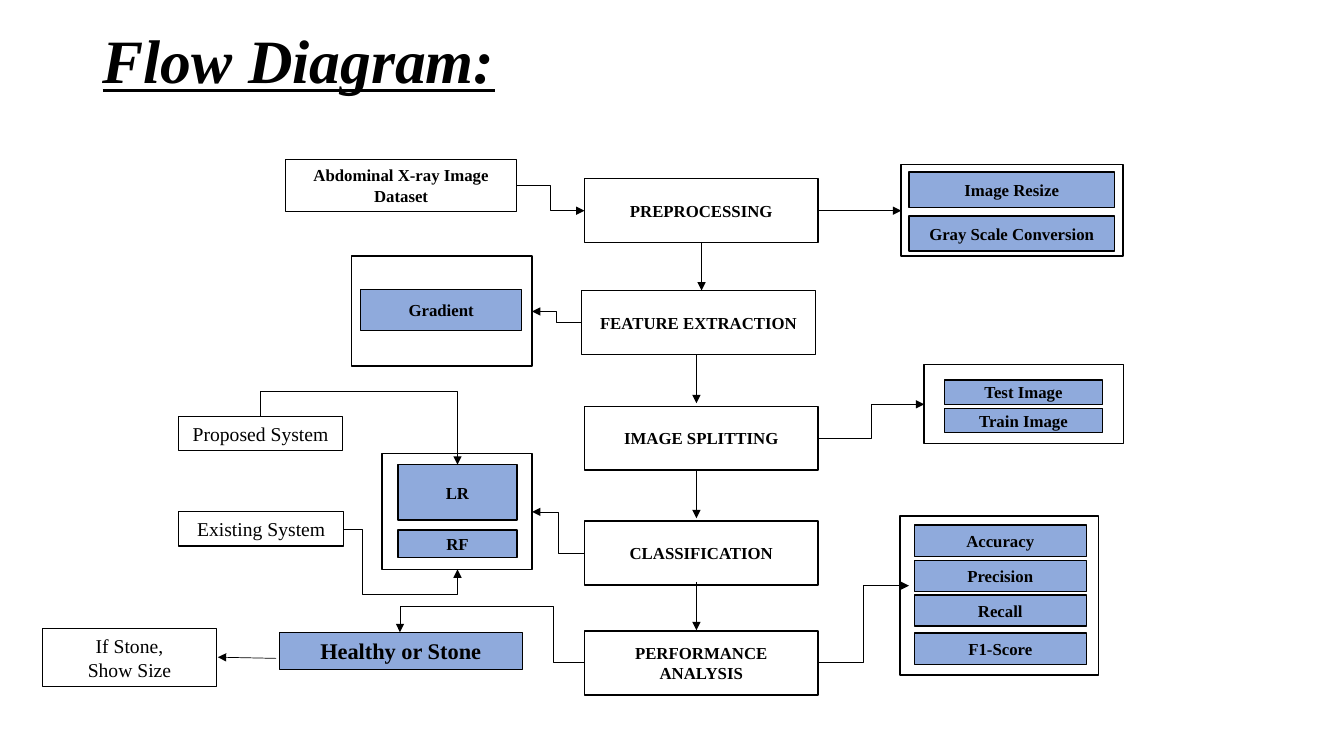
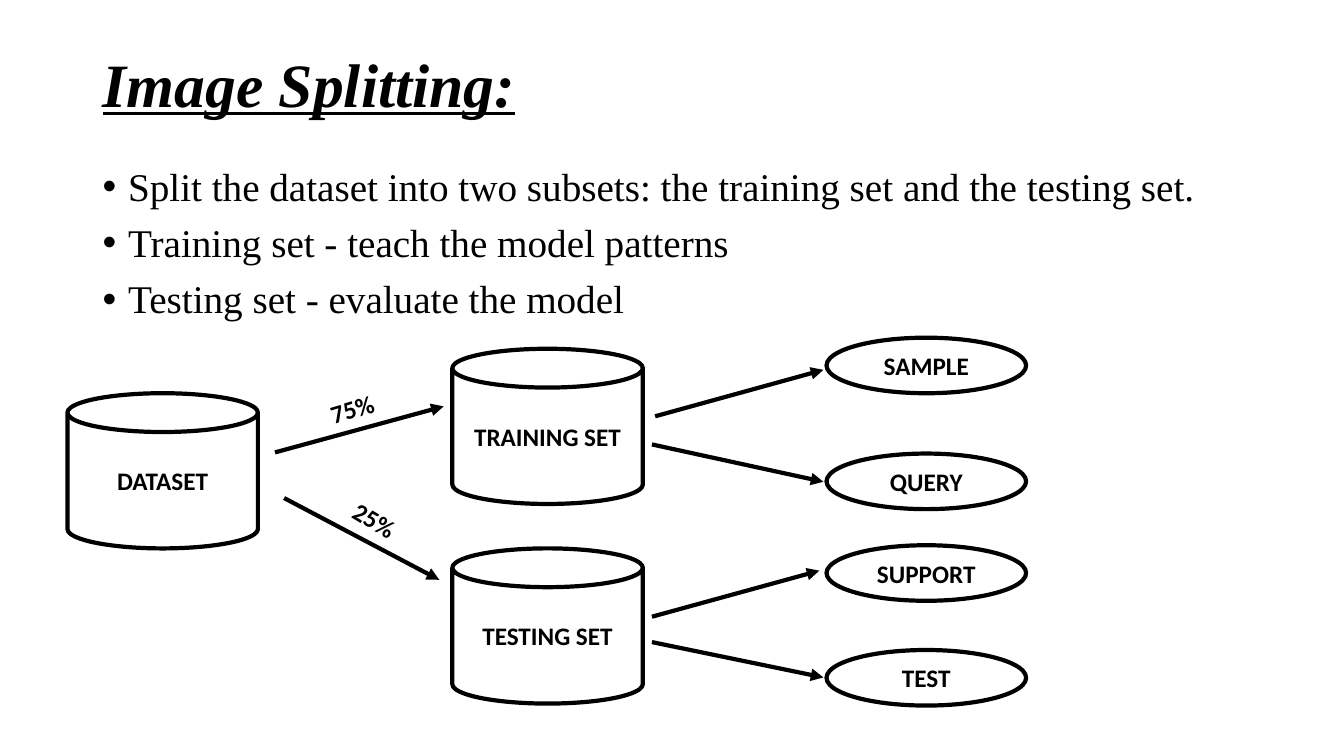
"""Build the flow diagram and image splitting slides."""
from dataclasses import dataclass

from lxml.etree import SubElement
from pptx import Presentation
from pptx.dml.color import RGBColor
from pptx.enum.shapes import MSO_CONNECTOR, MSO_SHAPE
from pptx.enum.text import MSO_ANCHOR, PP_ALIGN
from pptx.oxml.ns import qn
from pptx.util import Cm, Pt


@dataclass(frozen=True)
class Theme:
    ink: RGBColor = RGBColor(0, 0, 0)
    paper: RGBColor = RGBColor(255, 255, 255)
    accent: RGBColor = RGBColor(0x8F, 0xAA, 0xDC)
    serif: str = "Times New Roman"
    sans: str = "Calibri"
    title: Pt = Pt(44)
    body: Pt = Pt(28)
    label: Pt = Pt(18)
    result: Pt = Pt(16)
    note: Pt = Pt(14)
    step: Pt = Pt(12)
    thin: Pt = Pt(0.5)
    outline: Pt = Pt(1)
    thick: Pt = Pt(3)


theme = Theme()


def add_box(page, place, text, size, kind=MSO_SHAPE.RECTANGLE, fill=theme.paper,
            width=theme.outline, font=theme.serif, bold=True, align=PP_ALIGN.CENTER):
    lengths = [Cm(value) for value in place]
    if kind is None:
        box = page.shapes.add_textbox(*lengths)
    else:
        box = page.shapes.add_shape(kind, *lengths)
        box.shadow.inherit = False
        box.fill.solid()
        box.fill.fore_color.rgb = fill
        box.line.color.rgb = theme.ink
        box.line.width = width
    frame = box.text_frame
    frame.word_wrap = True
    frame.vertical_anchor = MSO_ANCHOR.MIDDLE
    frame.text = text
    for paragraph in frame.paragraphs:
        paragraph.alignment = align
        for span in paragraph.runs:
            span.font.name = font
            span.font.size = size
            span.font.bold = bold
            span.font.color.rgb = theme.ink
    return box


def add_arrow(page, points, width, kind=MSO_CONNECTOR.STRAIGHT):
    corners = [(Cm(x), Cm(y)) for x, y in points]
    if len(corners) == 2:
        arrow = page.shapes.add_connector(kind, *corners[0], *corners[1])
    else:
        builder = page.shapes.build_freeform(*corners[0])
        builder.add_line_segments(corners[1:], close=False)
        arrow = builder.convert_to_shape()
        arrow.fill.background()
    arrow.line.color.rgb = theme.ink
    arrow.line.width = width
    properties = arrow.element.spPr
    SubElement(properties.find(qn("a:ln")), qn("a:tailEnd"), type="triangle")
    SubElement(properties, qn("a:effectLst"))


deck = Presentation()
deck.slide_width, deck.slide_height = Cm(33.87), Cm(19.05)
pages = []
for heading, top in (("Flow Diagram:", 0.43), ("Image Splitting:", 1.02)):
    page = deck.slides.add_slide(deck.slide_layouts[6])
    title = add_box(page, (2.34, top, 29.21, 2.35), heading, theme.title,
                    kind=None, align=PP_ALIGN.LEFT)
    paragraph = title.text_frame.paragraphs[0]
    paragraph.line_spacing = 0.9
    paragraph.runs[0].font.italic = True
    paragraph.runs[0].font.underline = True
    pages.append(page)
flow, splitting = pages

add_box(flow, (7.19, 4.01, 5.84, 1.32), "Abdominal X-ray Image Dataset", theme.step,
        width=Pt(0.75))
steps = [
    ("PREPROCESSING", 14.73, 4.5),
    ("FEATURE EXTRACTION", 14.66, 7.32),
    ("IMAGE SPLITTING", 14.73, 10.24),
    ("CLASSIFICATION", 14.73, 13.13),
    ("PERFORMANCE ANALYSIS", 14.73, 15.9),
]
for text, left, top in steps:
    add_box(flow, (left, top, 5.89, 1.61), text, theme.step)

panels = [
    ((22.71, 4.14, 5.59, 2.31), 22.91, 5.18,
     [("Image Resize", 4.34, 0.89), ("Gray Scale Conversion", 5.44, 0.89)]),
    ((8.86, 6.45, 4.55, 2.77), 9.09, 4.06, [("Gradient", 7.29, 1.04)]),
    ((23.29, 9.19, 5.03, 1.98), 23.8, 3.99,
     [("Test Image", 9.58, 0.61), ("Train Image", 10.29, 0.61)]),
    ((9.63, 11.43, 3.78, 2.92), 10.03, 3, [("LR", 11.71, 1.4), ("RF", 13.36, 0.69)]),
    ((22.68, 13, 5, 4.01), 23.04, 4.34,
     [("Accuracy", 13.23, 0.79), ("Precision", 14.12, 0.79),
      ("Recall", 14.99, 0.79), ("F1-Score", 15.95, 0.79)]),
]
for place, left, width, items in panels:
    add_box(flow, place, "", theme.step)
    for text, top, height in items:
        add_box(flow, (left, top, width, height), text, theme.step, fill=theme.accent)

add_box(flow, (7.04, 15.93, 6.12, 0.94), "Healthy or Stone", theme.result,
        fill=theme.accent, width=Pt(0.75))
notes = [
    ("Proposed System", (4.5, 10.49, 4.14, 0.86)),
    ("Existing System", (4.5, 12.9, 4.17, 0.86)),
    ("If Stone,\nShow Size", (1.07, 15.85, 4.39, 1.45)),
]
for text, place in notes:
    add_box(flow, place, text, theme.note, width=Pt(0.75), bold=False)

straight_arrows = [
    [(20.62, 5.31), (22.71, 5.31)],
    [(17.68, 6.1), (17.68, 7.32)],
    [(17.55, 8.94), (17.55, 10.16)],
    [(17.55, 11.84), (17.55, 13.06)],
    [(17.55, 14.66), (17.55, 15.88)],
    [(6.96, 16.59), (5.49, 16.56)],
]
elbow_arrows = [
    [(13.03, 4.67), (14.73, 5.31)],
    [(14.66, 8.13), (13.41, 7.85)],
    [(20.62, 11.05), (23.29, 10.19)],
    [(14.73, 13.94), (13.41, 12.9)],
    [(20.62, 16.69), (22.91, 14.76)],
]
routed_arrows = [
    [(14.73, 16.69), (13.94, 16.69), (13.94, 15.29), (10.08, 15.29), (10.08, 15.93)],
    [(6.55, 10.49), (6.55, 9.86), (11.53, 9.86), (11.53, 11.71)],
    [(8.66, 13.34), (9.14, 13.34), (9.14, 14.99), (11.53, 14.99), (11.53, 14.35)],
]
for points in straight_arrows + routed_arrows:
    add_arrow(flow, points, theme.thin)
for points in elbow_arrows:
    add_arrow(flow, points, theme.thin, MSO_CONNECTOR.ELBOW)

bullets = "\n".join([
    "Split the dataset into two subsets: the training set and the testing set.",
    "Training set - teach the model patterns",
    "Testing set - evaluate the model",
])
body = add_box(splitting, (2.34, 4.09, 29.21, 13.06), bullets, theme.body,
               kind=None, bold=False, align=PP_ALIGN.LEFT)
body.text_frame.vertical_anchor = MSO_ANCHOR.TOP
for number, paragraph in enumerate(body.text_frame.paragraphs):
    paragraph.line_spacing = 0.9
    paragraph.space_before = Pt(10 if number else 0)
    properties = paragraph._p.get_or_add_pPr()
    properties.set("marL", str(Cm(0.64)))
    properties.set("indent", str(-Cm(0.64)))
    SubElement(properties, qn("a:buFont"), typeface="Arial")
    SubElement(properties, qn("a:buChar"), char="•")

cans = [("DATASET", 1.7, 9.91), ("TRAINING SET", 11.4, 8.79), ("TESTING SET", 11.4, 13.82)]
for text, left, top in cans:
    add_box(splitting, (left, top, 4.8, 3.91), text, theme.label, MSO_SHAPE.CAN,
            width=theme.thick, font=theme.sans)

ovals = [("SAMPLE", 8.51), ("QUERY", 11.43), ("SUPPORT", 13.74), ("TEST", 16.38)]
for text, top in ovals:
    add_box(splitting, (20.83, top, 5.03, 1.4), text, theme.label, MSO_SHAPE.OVAL,
            width=theme.thick, font=theme.sans)

split_arrows = [
    [(6.93, 11.4), (11.18, 10.24)],
    [(7.16, 12.55), (11.07, 14.61)],
    [(16.51, 10.49), (20.75, 9.32)],
    [(16.43, 11.2), (20.75, 12.14)],
    [(16.43, 15.54), (20.65, 14.38)],
    [(16.43, 16.18), (20.75, 17.07)],
]
for points in split_arrows:
    add_arrow(splitting, points, theme.thick)

shares = [("75%", (8.03, 9.53, 3.35, 1.02), 343.2), ("25%", (8.59, 12.78, 2.34, 1.02), 30.6)]
for text, place, angle in shares:
    share = add_box(splitting, place, text, theme.label, kind=None, font=theme.sans,
                    align=PP_ALIGN.LEFT)
    share.rotation = angle

deck.save("out.pptx")
